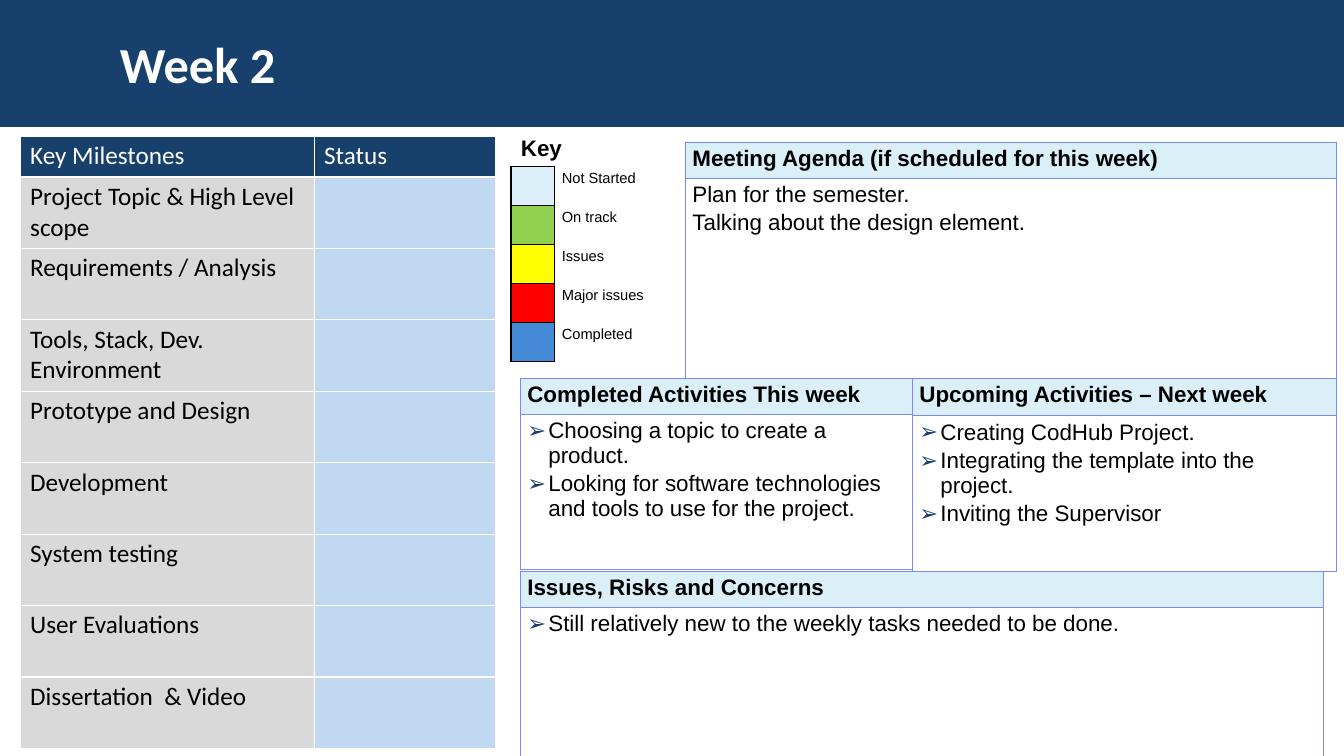
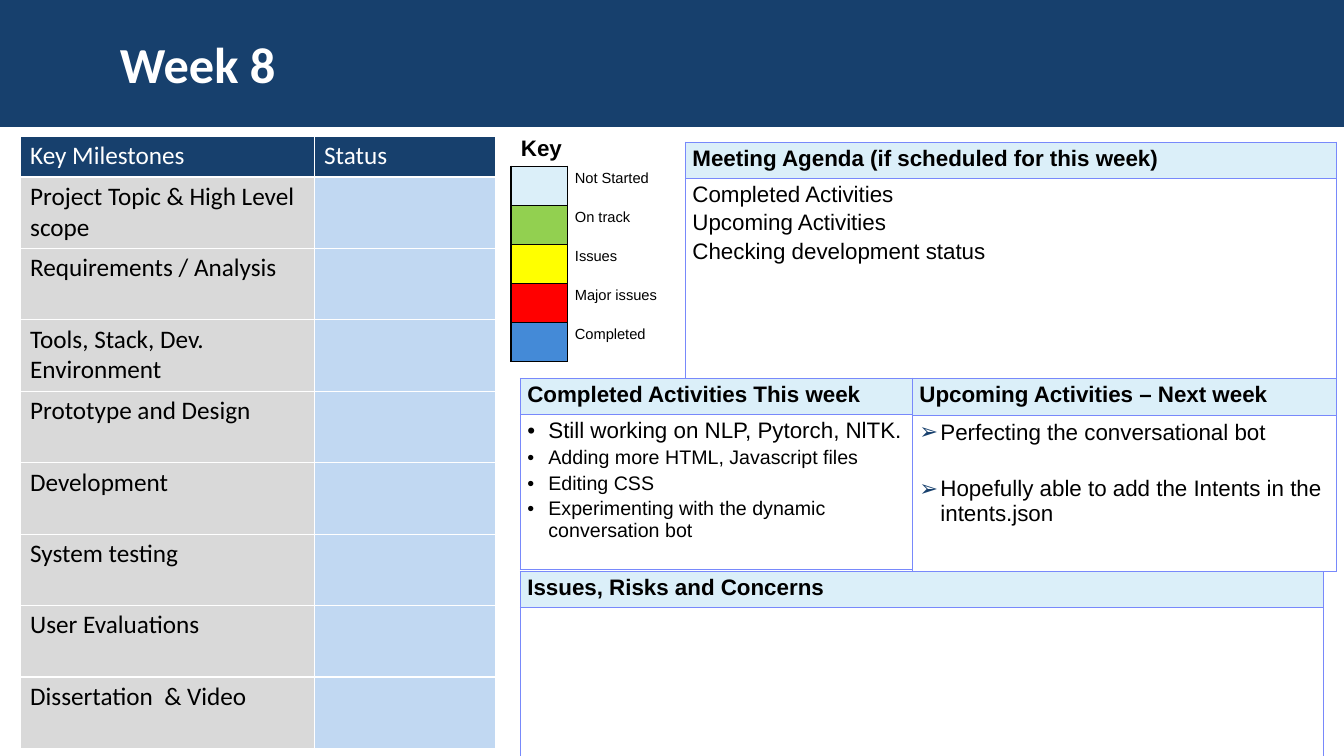
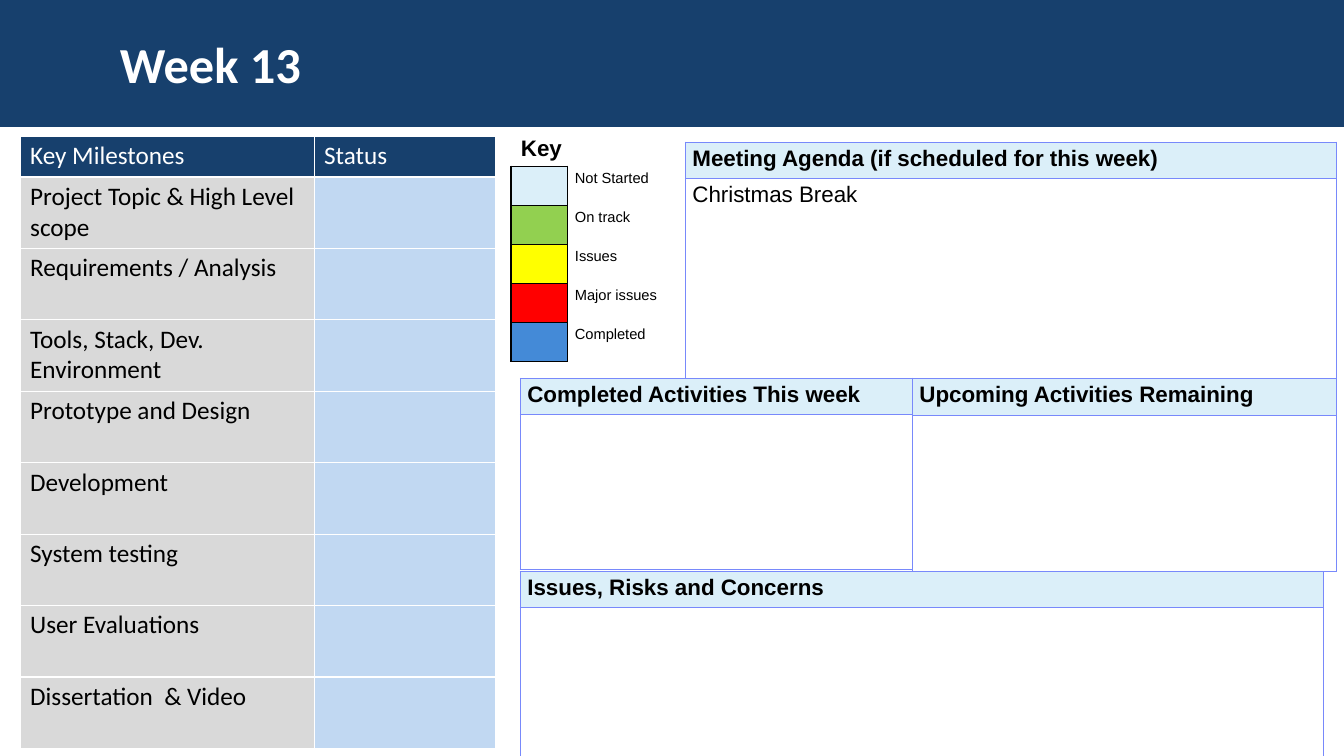
"""Build three weekly project status slides with milestones, legend and activity boxes."""
import pptx
import pptx.dml.color
import pptx.enum.shapes
import pptx.enum.text
import pptx.oxml
import pptx.oxml.ns
import pptx.util
from lxml import etree

Cm = pptx.util.Cm
Pt = pptx.util.Pt
RGBColor = pptx.dml.color.RGBColor
qn = pptx.oxml.ns.qn

NAVY = RGBColor(0x17, 0x40, 0x6D)
WHITE = RGBColor(0xFF, 0xFF, 0xFF)
BLACK = RGBColor(0x00, 0x00, 0x00)
GREY = RGBColor(0xD9, 0xD9, 0xD9)
SKY = RGBColor(0xC1, 0xD8, 0xF2)
PALE = RGBColor(0xDB, 0xEF, 0xF9)
GREEN = RGBColor(0x92, 0xD0, 0x50)
YELLOW = RGBColor(0xFF, 0xFF, 0x00)
RED = RGBColor(0xFF, 0x00, 0x00)
BLUE = RGBColor(0x44, 0x8A, 0xD7)
PERIWINKLE = RGBColor(0x78, 0x89, 0xFB)

MILESTONES = [
    "Project Topic & High Level scope",
    "Requirements / Analysis",
    "Tools, Stack, Dev. Environment",
    "Prototype and Design",
    "Development",
    "System testing",
    "User Evaluations",
    "Dissertation  & Video",
]
LEGEND = [
    ("Not Started", PALE),
    ("On track", GREEN),
    ("Issues", YELLOW),
    ("Major issues", RED),
    ("Completed", BLUE),
]
BOXES = {
    "completed": (13.11, 9.53, 9.88, 0.91, 3.92),
    "agenda": (17.27, 3.58, 16.41, 0.91, 5.04),
    "issues": (13.11, 14.4, 20.24, 0.85, 3.84),
    "upcoming": (22.99, 9.53, 10.69, 0.94, 3.92),
}
HEADINGS = {
    "completed": "Completed Activities This week",
    "agenda": "Meeting Agenda (if scheduled for this week)",
    "issues": "Issues, Risks and Concerns",
    "upcoming": "Upcoming Activities – Next week",
}
ARROW = {"bullet": "➢", "bullet_color": NAVY}
DOT = {"bullet": "•", "bullet_color": BLACK}
SMALL_DOT = {**DOT, "size": 14}

WEEKS = [
    {
        "title": "Week 2",
        "legend_widths": (1.09, 2.72),
        "headings": HEADINGS,
        "agenda": [("Plan for the semester.", {}), ("Talking about the design element.", {})],
        "completed": [
            ("Choosing a topic to create a product.", ARROW),
            ("Looking for software technologies and tools to use for the project.", ARROW),
        ],
        "upcoming": [
            ("Creating CodHub Project.", ARROW),
            ("Integrating the template into the project.", ARROW),
            ("Inviting the Supervisor", ARROW),
        ],
        "issues": [("Still relatively new to the weekly tasks needed to be done.", ARROW)],
    },
    {
        "title": "Week 8",
        "legend_widths": (1.42, 3.56),
        "headings": HEADINGS,
        "agenda": [
            ("Completed Activities", {}),
            ("Upcoming Activities", {}),
            ("Checking development status", {}),
        ],
        "completed": [
            ("Still working on NLP, Pytorch, NlTK.", DOT),
            ("Adding more HTML, Javascript files", SMALL_DOT),
            ("Editing CSS", SMALL_DOT),
            ("Experimenting with the dynamic conversation bot", SMALL_DOT),
        ],
        "upcoming": [
            ("Perfecting the conversational bot", {**ARROW, "gap": 22.4}),
            ("Hopefully able to add the Intents in the intents.json", ARROW),
        ],
        "issues": [],
    },
    {
        "title": "Week 13",
        "legend_widths": (1.42, 3.56),
        "headings": {**HEADINGS, "upcoming": "Upcoming Activities Remaining"},
        "agenda": [("Christmas Break", {})],
        "completed": [],
        "upcoming": [],
        "issues": [],
    },
]


def write(frame, text, size=16, font="Arial", color=BLACK, bold=False, gap=0,
          bullet=None, bullet_color=None):
    """Add one formatted paragraph to a text frame."""
    paragraph = frame.paragraphs[0]
    if paragraph.runs:
        paragraph = frame.add_paragraph()
    paragraph.space_after = Pt(gap)
    run = paragraph.add_run()
    run.text = text
    run.font.size = Pt(size)
    run.font.name = font
    run.font.bold = bold
    run.font.color.rgb = color
    if bullet:
        properties = paragraph._p.get_or_add_pPr()
        properties.set("marL", str(Cm(0.53)))
        properties.set("indent", str(-Cm(0.53)))
        tint = etree.SubElement(properties, qn("a:buClr"))
        etree.SubElement(tint, qn("a:srgbClr"), val=str(bullet_color))
        etree.SubElement(properties, qn("a:buFont"), typeface="Arial")
        etree.SubElement(properties, qn("a:buChar"), char=bullet)


def add_grid(slide, left, top, widths, heights, edge, edge_width, inset):
    """Add an unfilled table with the given edges and side insets."""
    grid = slide.shapes.add_table(len(heights), len(widths), Cm(left), Cm(top),
                                  Cm(sum(widths)), Cm(sum(heights))).table
    grid.first_row = False
    grid.horz_banding = False
    for column, width in zip(grid.columns, widths):
        column.width = Cm(width)
    for row, height in zip(grid.rows, heights):
        row.height = Cm(height)
    for cell in grid.iter_cells():
        cell.margin_left = cell.margin_right = Cm(inset)
        cell.margin_top = cell.margin_bottom = Cm(0.11)
        properties = cell._tc.get_or_add_tcPr()
        for side in ("lnL", "lnR", "lnT", "lnB"):
            line = etree.SubElement(properties, qn("a:" + side), w=str(Pt(edge_width)))
            paint = etree.SubElement(line, qn("a:solidFill"))
            etree.SubElement(paint, qn("a:srgbClr"), val=str(edge))
        cell.fill.background()
    return grid


deck = pptx.Presentation()
deck.slide_width = Cm(33.87)
deck.slide_height = Cm(19.05)

for week in WEEKS:
    slide = deck.slides.add_slide(deck.slide_layouts[6])

    band = slide.shapes.add_shape(pptx.enum.shapes.MSO_SHAPE.RECTANGLE,
                                  0, 0, deck.slide_width, Cm(3.2))
    band.shadow.inherit = False
    band.fill.solid()
    band.fill.fore_color.rgb = NAVY
    band.line.fill.background()

    title = slide.shapes.add_textbox(Cm(2.77), Cm(0.53), Cm(27.84), Cm(2.11)).text_frame
    title.word_wrap = True
    title.vertical_anchor = pptx.enum.text.MSO_ANCHOR.MIDDLE
    write(title, week["title"], size=36, font="Calibri", color=WHITE, bold=True)

    milestones = add_grid(slide, 0.51, 3.43, (7.41, 4.58), [1.03] + [1.8] * len(MILESTONES),
                          WHITE, 1, 0.25)
    for column, heading in enumerate(("Key Milestones", "Status")):
        write(milestones.cell(0, column).text_frame, heading, size=18, font="Calibri", color=WHITE)
    for row, milestone in enumerate(MILESTONES, 1):
        write(milestones.cell(row, 0).text_frame, milestone, size=18, font="Calibri")
    for row in range(len(MILESTONES) + 1):
        for column, body_color in enumerate((GREY, SKY)):
            fill = milestones.cell(row, column).fill
            fill.solid()
            fill.fore_color.rgb = body_color if row else NAVY

    legend = add_grid(slide, 12.88, 4.19, week["legend_widths"], [0.95] * len(LEGEND),
                      BLACK, 1, 0.19)
    for row, (status, status_color) in enumerate(LEGEND):
        swatch, label = legend.cell(row, 0), legend.cell(row, 1)
        swatch.fill.solid()
        swatch.fill.fore_color.rgb = status_color
        write(label.text_frame, status, size=10.5)
        for side in ("lnR", "lnT", "lnB"):
            line = label._tc.tcPr.find(qn("a:" + side))
            line.remove(line[0])
            etree.SubElement(line, qn("a:noFill"))

    key = slide.shapes.add_textbox(Cm(12.88), Cm(3.25), Cm(3.81), Cm(0.94)).text_frame
    key.word_wrap = True
    write(key, "Key", bold=True)

    for topic, (left, top, width, heading_height, body_height) in BOXES.items():
        box = add_grid(slide, left, top, [width], [heading_height, body_height],
                       PERIWINKLE, 0.71, 0.18)
        heading, body = box.cell(0, 0), box.cell(1, 0)
        heading.fill.solid()
        heading.fill.fore_color.rgb = PALE
        write(heading.text_frame, week["headings"][topic], bold=True)
        for text, style in week[topic]:
            write(body.text_frame, text, **{"gap": 2.4, **style})

deck.save("out.pptx")
